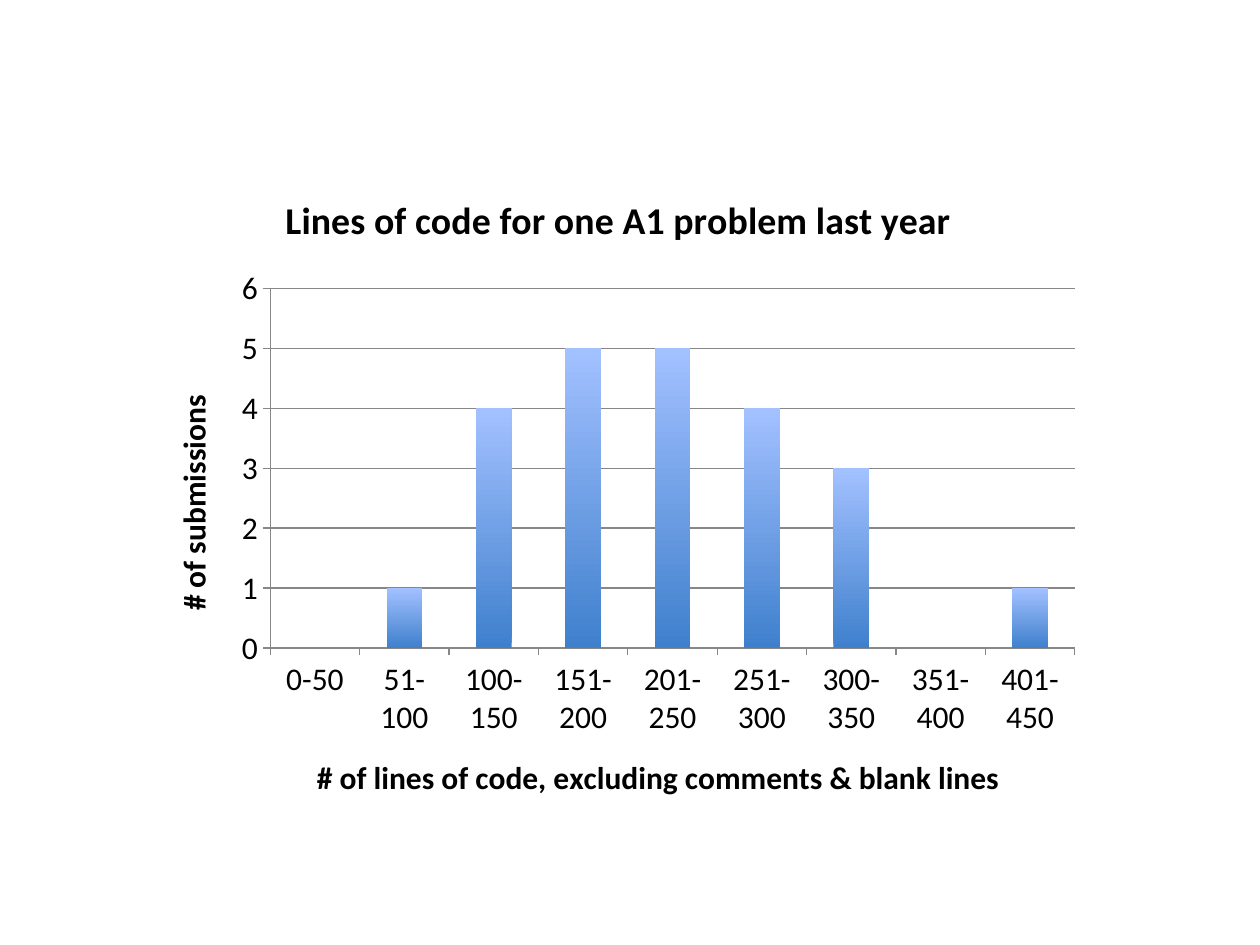
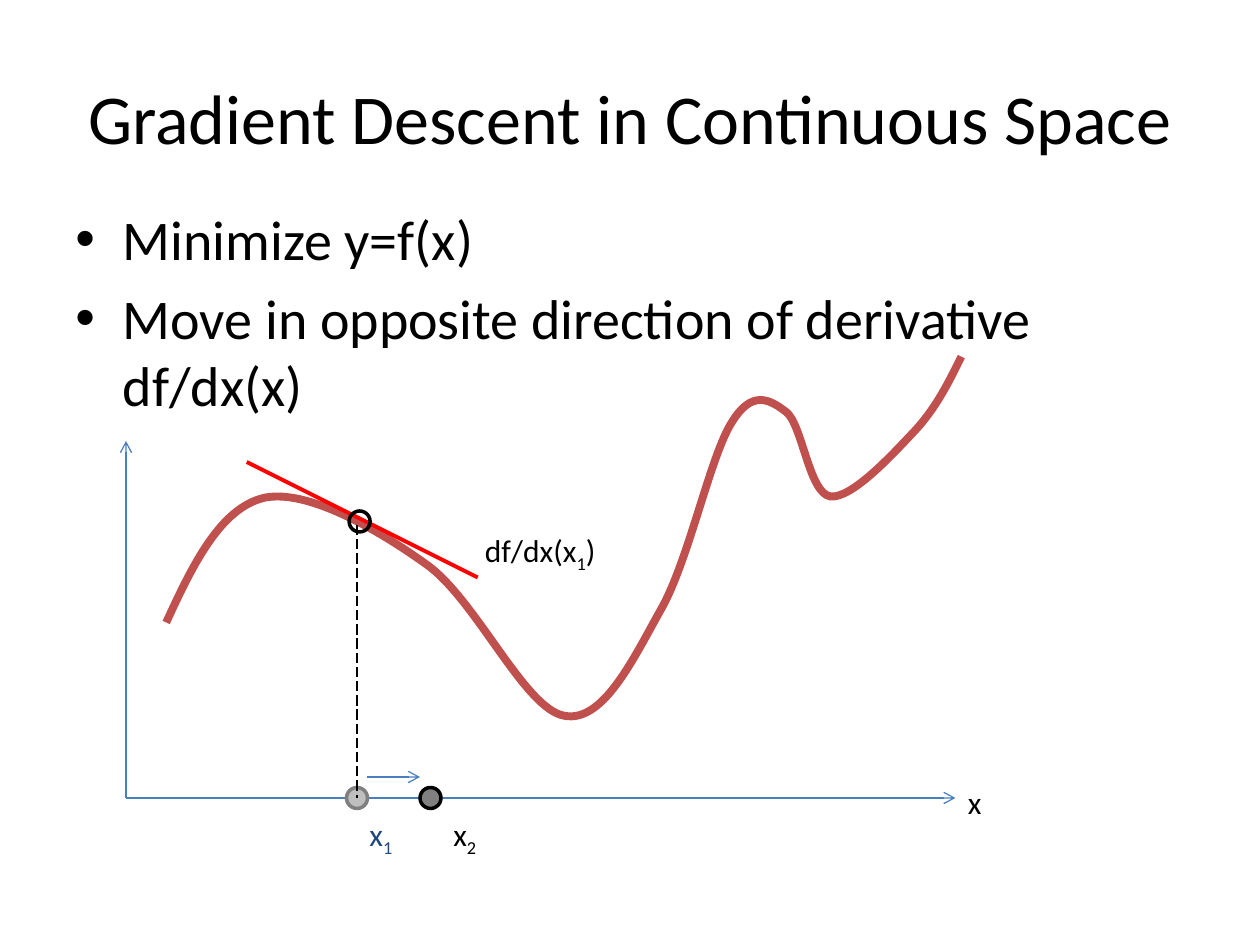
import lxml.etree
import pptx
import pptx.chart.data
import pptx.dml.color
import pptx.enum.chart
import pptx.enum.dml
import pptx.enum.shapes
import pptx.enum.text
import pptx.oxml.ns
import pptx.util

Pt = pptx.util.Pt
qn = pptx.oxml.ns.qn

FONT = "Calibri"
COLORS = {
    "text": "000000",
    "old_step": "1F497D",
    "axis": "4B7EBC",
    "curve": "C0504D",
    "tangent": "FF0000",
    "old_fill": "BFBFBF",
    "gray": "808080",
    "grid": "878787",
    "bar_top": "A3C1FF",
    "bar_bottom": "3F80CD",
}

SUBMISSIONS = {
    "0-50": 0, "51-100": 1, "100-150": 4, "151-200": 5, "201-250": 5,
    "251-300": 4, "300-350": 3, "351-400": 0, "401-450": 1,
}

# Points relative to the top left of the plot: two handles, then the end.
CURVE_START = (23, 151.7)
CURVE_SEGMENTS = [
    ((38.2, 118.6), (54, 86.2), (79.2, 80.4)),
    ((103.7, 75.4), (144, 98.4), (172.8, 119.3)),
    ((200.9, 140.2), (228.2, 201.4), (250.6, 205)),
    ((272.9, 209.3), (290.2, 171.8), (306, 143.8)),
    ((321.8, 115.7), (334.1, 55.9), (346.3, 37.2)),
    ((357.8, 18.5), (367.9, 24.2), (377.3, 31.4)),
    ((386.6, 38.6), (390.2, 77.5), (402.5, 79.7)),
    ((414.7, 81.1), (437.8, 55.9), (450, 43)),
    ((463, 29.3), (470.2, 14.2), (477.4, -0.2)),
]


def rgb(name):
    return pptx.dml.color.RGBColor.from_string(COLORS[name])


def style_font(font, size, color="text", bold=False):
    font.name = FONT
    font.size = Pt(size)
    font.bold = bold
    font.color.rgb = rgb(color)


def add_text(page, box, paragraphs, size, color="text"):
    """Add paragraphs, each a list of (text, is_subscript) spans."""
    shape = page.shapes.add_textbox(*map(Pt, box))
    frame = shape.text_frame
    frame.word_wrap = True
    for index, spans in enumerate(paragraphs):
        para = frame.paragraphs[0] if index == 0 else frame.add_paragraph()
        for text, is_subscript in spans:
            span = para.add_run()
            span.text = text
            style_font(span.font, size, color)
            if is_subscript:
                span.font._element.set("baseline", "-25000")
    return frame


def add_title(page, box, text):
    frame = add_text(page, box, [[(text, False)]], 40)
    frame.vertical_anchor = pptx.enum.text.MSO_ANCHOR.MIDDLE
    frame.paragraphs[0].alignment = pptx.enum.text.PP_ALIGN.CENTER


def add_bullets(page, box, lines):
    frame = add_text(page, box, [[(line, False)] for line in lines], 32)
    for para in frame.paragraphs:
        para.space_before = Pt(6.4)
        properties = para._p.get_or_add_pPr()
        properties.set("marL", str(Pt(27)))
        properties.set("indent", str(Pt(-27)))
        lxml.etree.SubElement(properties, qn("a:buFont"), typeface="Arial")
        lxml.etree.SubElement(properties, qn("a:buChar"), char="•")


def add_label(page, left, top, width, spans, color="text"):
    frame = add_text(page, (left, top, width, 29), [spans], 18, color)
    frame.auto_size = pptx.enum.text.MSO_AUTO_SIZE.SHAPE_TO_FIT_TEXT


def add_line(page, start, end, color, width=0.75, arrow=False, dashed=False):
    line = page.shapes.add_connector(
        pptx.enum.shapes.MSO_CONNECTOR.STRAIGHT, *map(Pt, start + end))
    line.line.color.rgb = rgb(color)
    line.line.width = Pt(width)
    if dashed:
        line.line.dash_style = pptx.enum.dml.MSO_LINE.LONG_DASH
    if arrow:
        lxml.etree.SubElement(line.line._get_or_add_ln(), qn("a:tailEnd"), type="arrow")
    lxml.etree.SubElement(line._element.spPr, qn("a:effectLst"))


def add_dot(page, center_x, center_y, outline, fill=None):
    size = 12
    dot = page.shapes.add_shape(
        pptx.enum.shapes.MSO_SHAPE.OVAL,
        Pt(center_x - size / 2), Pt(center_y - size / 2), Pt(size), Pt(size))
    dot.shadow.inherit = False
    dot.line.color.rgb = rgb(outline)
    dot.line.width = Pt(2)
    if fill:
        dot.fill.solid()
        dot.fill.fore_color.rgb = rgb(fill)
    else:
        dot.fill.background()


def add_curve(page, left, top):
    """Draw the segments as straight lines, then bend each into a cubic curve."""
    def place(point):
        return Pt(left + point[0]), Pt(top + point[1])

    builder = page.shapes.build_freeform(*place(CURVE_START))
    builder.add_line_segments([place(seg[-1]) for seg in CURVE_SEGMENTS], close=False)
    curve = builder.convert_to_shape()
    curve.shadow.inherit = False
    curve.fill.background()
    curve.line.color.rgb = rgb("curve")
    curve.line.width = Pt(4.5)
    straight_parts = list(curve._element.iter(qn("a:lnTo")))
    for part, segment in zip(straight_parts, CURVE_SEGMENTS):
        part.clear()
        part.tag = qn("a:cubicBezTo")
        for point in segment:
            x, y = place(point)
            lxml.etree.SubElement(
                part, qn("a:pt"), x=str(x - curve.left), y=str(y - curve.top))


def add_descent_plot(page, box):
    left, top, width, height = box
    bottom = top + height
    old_x, new_x = left + 132, left + 174
    touch_y = top + 94

    add_line(page, (left, bottom), (left + width, bottom), "axis", arrow=True)
    add_line(page, (left, bottom), (left, top + 48), "axis", arrow=True)
    add_label(page, left + width, bottom - 12, 90, [("x", False)])
    add_curve(page, left, top)

    add_dot(page, old_x, bottom, "gray", "old_fill")
    add_label(page, old_x, bottom + 6, 42, [("x", False), ("1", True)], "old_step")
    add_line(page, (left + 69, top + 60), (left + 201, top + 126), "tangent", 2.25)
    add_label(page, left + 198, top + 96, 102,
              [("df/dx(x", False), ("1", True), (")", False)])
    add_dot(page, new_x, bottom, "text", "gray")
    add_label(page, new_x + 6, bottom + 6, 42, [("x", False), ("2", True)])
    add_line(page, (old_x + 6, bottom - 12), (new_x - 6, bottom - 12), "axis", arrow=True)
    add_line(page, (old_x, touch_y + 2), (old_x, bottom), "text", dashed=True)
    add_dot(page, old_x + 1.5, touch_y, "text")


def set_heading(owner, text, size):
    """Give a chart or an axis its bold title."""
    (heading,) = [owner.chart_title] if hasattr(owner, "chart_title") else [owner.axis_title]
    heading.text_frame.text = text
    style_font(heading.text_frame.paragraphs[0].runs[0].font, size, bold=True)


def add_histogram(page, box):
    data = pptx.chart.data.CategoryChartData()
    data.categories = list(SUBMISSIONS)
    data.add_series("Series 1", list(SUBMISSIONS.values()))
    chart = page.shapes.add_chart(
        pptx.enum.chart.XL_CHART_TYPE.COLUMN_CLUSTERED, *map(Pt, box), data).chart
    style_font(chart.font, 18)
    chart.has_legend = False
    set_heading(chart, "Lines of code for one A1 problem last year", 21.6)

    categories, values = chart.category_axis, chart.value_axis
    set_heading(categories, "# of lines of code, excluding comments & blank lines", 18)
    set_heading(values, "# of submissions", 18)
    values.minimum_scale, values.maximum_scale, values.major_unit = 0, 6, 1
    values.has_major_gridlines = True
    for ruled in (categories, values, values.major_gridlines):
        ruled.format.line.color.rgb = rgb("grid")
        ruled.format.line.width = Pt(0.75)
    for axis in (categories, values):
        axis.major_tick_mark = pptx.enum.chart.XL_TICK_MARK.OUTSIDE

    plot = chart.plots[0]
    plot.gap_width = 150
    plot.vary_by_categories = False
    fill = plot.series[0].format.fill
    fill.gradient()
    fill.gradient_angle = 90
    for stop, color in zip(fill.gradient_stops, ("bar_bottom", "bar_top")):
        stop.color.rgb = rgb(color)


def main():
    deck = pptx.Presentation()
    deck.slide_width, deck.slide_height = Pt(720), Pt(540)
    blank = deck.slide_layouts[6]

    add_histogram(deck.slides.add_slide(blank), (82, 95, 543, 378))

    descent = deck.slides.add_slide(blank)
    add_title(descent, (36, 21.6, 648, 90), "Gradient Descent in Continuous Space")
    add_bullets(descent, (36, 113.5, 588, 384), [
        "Minimize y=f(x)",
        "Move in opposite direction of derivative df/dx(x)",
    ])
    add_descent_plot(descent, (72, 204, 474, 252))

    deck.save("out.pptx")


if __name__ == "__main__":
    main()
